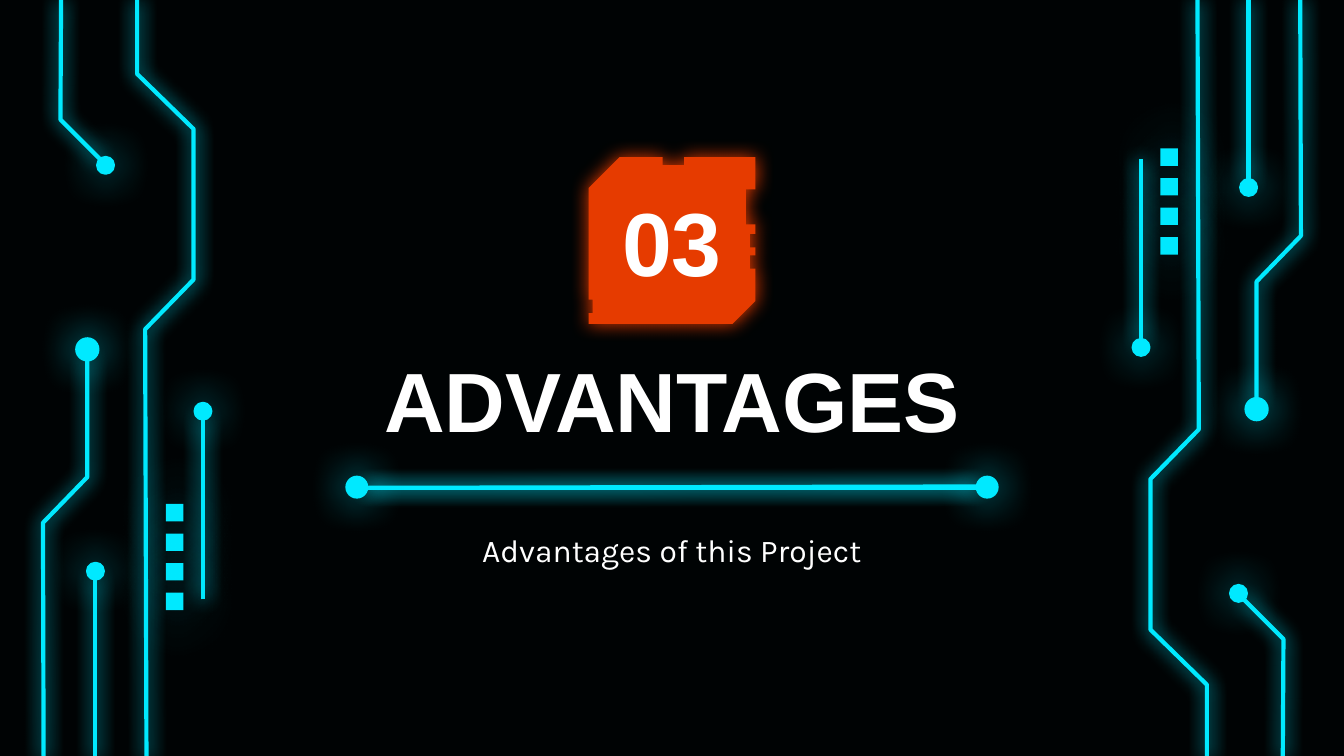
from lxml import etree
from pptx import Presentation
from pptx.dml.color import RGBColor
from pptx.enum.shapes import MSO_CONNECTOR, MSO_SHAPE
from pptx.enum.text import MSO_ANCHOR, PP_ALIGN
from pptx.oxml.ns import qn
from pptx.util import Inches, Pt

OVAL = MSO_SHAPE.OVAL
RECT = MSO_SHAPE.RECTANGLE
STRAIGHT = MSO_CONNECTOR.STRAIGHT
TOP = MSO_ANCHOR.TOP
MIDDLE = MSO_ANCHOR.MIDDLE
CENTER = PP_ALIGN.CENTER

BLACK = RGBColor(0x00, 0x03, 0x04)
CYAN = RGBColor(0x00, 0xE9, 0xFF)
RED = RGBColor(0xE6, 0x3B, 0x00)
WHITE = RGBColor(0xFF, 0xFF, 0xFF)

CELL = Inches(0.01)
COLS, ROWS = 1000, 564.5

TRACES = [
    [(109, 565), (108, 245), (144, 208), (144, 96), (102, 55), (102, 0)],
    [(71, 565), (71, 429)],
    [(45.5, 0), (45, 89), (75, 119)],
    [(32.5, 565), (32, 389), (65, 355), (65, 266)],
    [(151, 446), (151, 310)],
]
DOTS = [(57, 252, 16), (72.5, 117, 12), (145, 300, 12), (65, 419, 12)]
PADS = [(123.5, 375 + 22 * row, 13) for row in range(4)]
BADGE = [
    (461, 117), (438, 140), (438, 223), (441, 223), (441, 233), (438, 233),
    (438, 241), (545, 241), (562, 224), (562, 200), (558, 200), (558, 190),
    (562, 190), (562, 184), (558, 184), (558, 174), (562, 174), (562, 167),
    (555, 167), (555, 141), (562, 141), (562, 117), (509, 117), (509, 123),
    (493, 123), (493, 117),
]


def grid(*cells):
    return [round(cell * CELL) for cell in cells]


def glow(shape, color, blur, alpha=100, dist=0):
    effects = etree.SubElement(shape.element.spPr, qn("a:effectLst"))
    outer = etree.SubElement(
        effects, qn("a:outerShdw"), blurRad=str(Pt(blur)),
        dist=str(Pt(dist)), dir="0", algn="bl", rotWithShape="0")
    tint = etree.SubElement(outer, qn("a:srgbClr"), val=str(color))
    etree.SubElement(tint, qn("a:alpha"), val=str(alpha * 1000))


def stroke(shape, width):
    shape.line.color.rgb = CYAN
    shape.line.width = Pt(width)


def fill(shape, color):
    shape.fill.solid()
    shape.fill.fore_color.rgb = color


def outline(shapes, points, close):
    pen = shapes.build_freeform(*points[0], scale=CELL)
    pen.add_line_segments(points[1:], close=close)
    return pen.convert_to_shape()


def add_trace(shapes, points):
    cells = [grid(*point) for point in points]
    pen = shapes.build_freeform(*cells[0])
    pen.add_line_segments(cells[1:], close=False)
    trace = pen.convert_to_shape()
    trace.fill.background()
    stroke(trace, 2.25)
    glow(trace, CYAN, 10.1)


def add_dot(shapes, left, top, size):
    dot = shapes.add_shape(OVAL, *grid(left, top, size, size))
    fill(dot, CYAN)
    stroke(dot, 1.5)
    glow(dot, CYAN, 22.5)


def add_pad(shapes, left, top, size):
    pad = shapes.add_shape(RECT, *grid(left, top, size, size))
    fill(pad, CYAN)
    pad.line.fill.background()
    glow(pad, CYAN, 36, 70, 1.5)


def add_badge(shapes):
    badge = outline(shapes, BADGE, True)
    fill(badge, RED)
    badge.line.fill.background()
    glow(badge, RED, 10.1)


def add_rule(shapes, start, end):
    rule = shapes.add_connector(STRAIGHT, *grid(*start, *end))
    stroke(rule, 2.25)
    glow(rule, CYAN, 10.1)


def add_text(shapes, box, text, size, face, bold, anchor):
    frame = shapes.add_textbox(*grid(*box)).text_frame
    frame.word_wrap = True
    frame.vertical_anchor = anchor
    frame.margin_left = frame.margin_right = Inches(0.1)
    frame.margin_top = frame.margin_bottom = Inches(0.1)
    frame.text = text
    line = frame.paragraphs[0]
    line.alignment = CENTER
    font = line.runs[0].font
    font.size = Pt(size)
    font.name = face
    font.bold = bold
    font.color.rgb = WHITE


def add_side(shapes, flip):
    def turn(left, top, size=0):
        if flip:
            return COLS - left - size, ROWS - top - size
        return left, top

    for points in TRACES:
        add_trace(shapes, [turn(*point) for point in points])
    for dot in DOTS:
        add_dot(shapes, *turn(*dot), dot[2])
    for pad in PADS:
        add_pad(shapes, *turn(*pad), pad[2])


def main():
    deck = Presentation()
    deck.slide_width = Inches(10)
    deck.slide_height = Inches(5.625)
    slide = deck.slides.add_slide(deck.slide_layouts[6])
    fill(slide.background, BLACK)
    shapes = slide.shapes
    for flip in (False, True):
        add_side(shapes, flip)
    add_badge(shapes)
    add_text(shapes, (241.5, 260, 517, 74), "ADVANTAGES", 45, "Arial", True, MIDDLE)
    add_text(shapes, (343, 385, 314, 76), "Advantages of this Project",
             17, "Karla", False, TOP)
    add_text(shapes, (241.5, 134, 517, 90), "03", 48, "Arial", True, MIDDLE)
    for end in (362, 363):
        add_rule(shapes, (273, 363), (727, end))
    for left in (258, 727):
        add_dot(shapes, left, 355, 15)
    deck.save("out.pptx")


if __name__ == "__main__":
    main()
